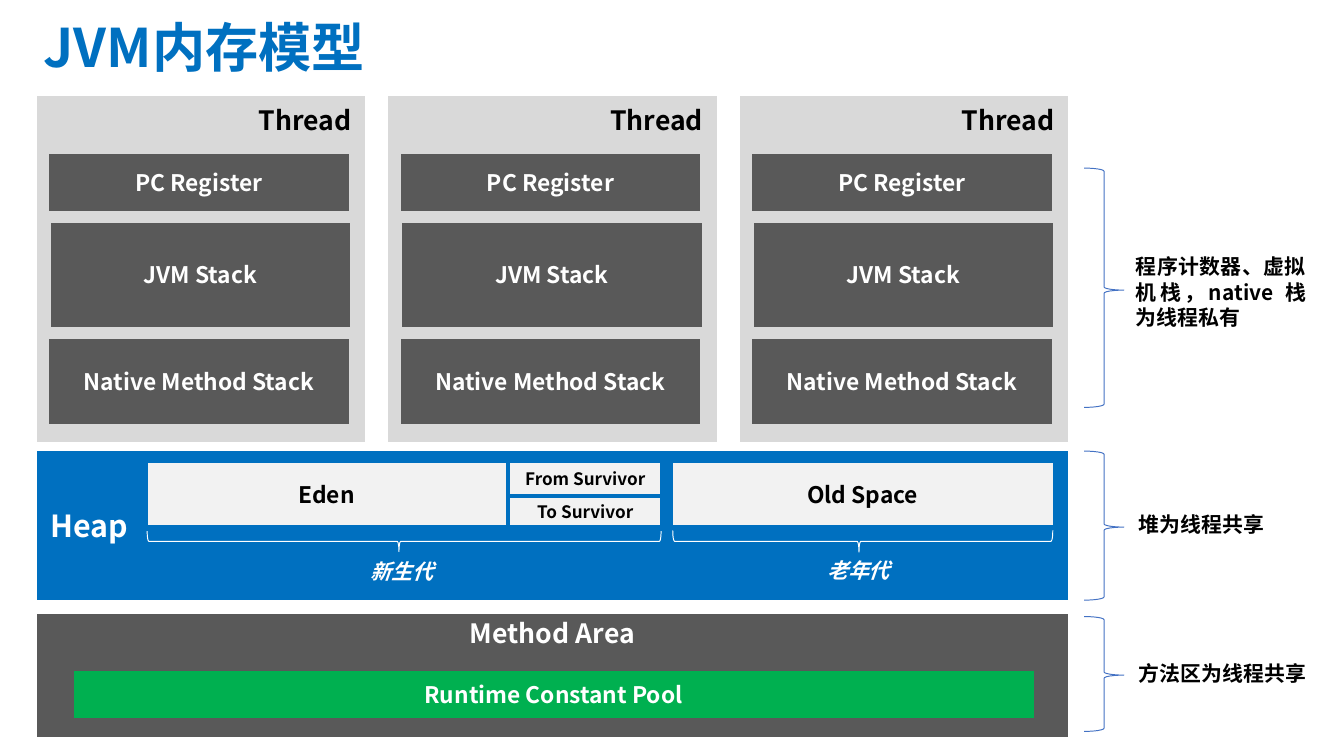
from dataclasses import dataclass

from lxml import etree
from pptx import Presentation
from pptx.dml.color import RGBColor
from pptx.enum.shapes import MSO_SHAPE
from pptx.enum.text import MSO_ANCHOR, MSO_AUTO_SIZE, PP_ALIGN
from pptx.oxml.ns import qn
from pptx.util import Inches, Pt

BLOCK, BRACE = MSO_SHAPE.FLOWCHART_PROCESS, MSO_SHAPE.RIGHT_BRACE
TOP, MIDDLE = MSO_ANCHOR.TOP, MSO_ANCHOR.MIDDLE
LEFT, CENTER, RIGHT = PP_ALIGN.LEFT, PP_ALIGN.CENTER, PP_ALIGN.RIGHT
JUSTIFY = PP_ALIGN.JUSTIFY

WIDTH, HEIGHT = Inches(9.83), Inches(5.53)
FONT = "Noto Sans CJK SC"
BLUE, GREEN, DARK = "0070C0", "00B050", "595959"
GRAY, PALE, WHITE, BLACK = "D9D9D9", "F2F2F2", "FFFFFF", "000000"
BRACE_BLUE = "4472C4"
NOTE_LINE = Pt(13.2)
MARGIN, FULL = 2.75, 76.7
THREAD_COUNT, THREAD_STEP = 3, 26.15


@dataclass(frozen=True)
class Area:
    """A rectangle in percent of the slide's width and height."""
    left: float
    top: float
    width: float
    height: float

    def frame(self) -> tuple[int, int, int, int]:
        return (int(WIDTH * self.left / 100), int(HEIGHT * self.top / 100),
                int(WIDTH * self.width / 100), int(HEIGHT * self.height / 100))

    def shifted(self, columns: float):
        return Area(self.left + columns, self.top, self.width, self.height)


@dataclass(frozen=True)
class Block:
    text: str
    area: Area
    fill: str
    color: str = WHITE
    size: float = 12
    align: PP_ALIGN = CENTER
    anchor: MSO_ANCHOR = MIDDLE
    inset: float = 0


@dataclass(frozen=True)
class Label:
    text: str
    area: Area
    color: str = BLACK
    align: PP_ALIGN = JUSTIFY
    italic: bool = False


THREAD_BLOCKS = [
    Block("Thread", Area(MARGIN, 12.66, 24.42, 45.75), GRAY, BLACK, 14, RIGHT, TOP, 0.06),
    Block("PC Register", Area(3.67, 20.43, 22.28, 7.41), DARK),
    Block("JVM Stack", Area(3.77, 29.48, 22.28, 13.74), DARK),
    Block("Native Method Stack", Area(3.67, 44.85, 22.28, 11.21), DARK),
]
SHARED_BLOCKS = [
    Block("Heap", Area(MARGIN, 59.67, FULL, 19.71), BLUE, size=16, align=LEFT),
    Block("Eden", Area(10.99, 61.3, 26.65, 8.14), PALE, BLACK),
    Block("From Survivor", Area(37.95, 61.3, 11.19, 3.98), PALE, BLACK, 9),
    Block("To Survivor", Area(37.95, 65.82, 11.19, 3.62), PALE, BLACK, 9),
    Block("Old Space", Area(50.05, 61.3, 28.28, 8.14), PALE, BLACK),
    Block("Method Area", Area(MARGIN, 81.19, FULL, 16.27), DARK, size=14, anchor=TOP, inset=0.02),
    Block("Runtime Constant Pool", Area(5.49, 88.79, 71.41, 6.15), GREEN),
]
SIDE_BRACES = [Area(80.67, top, 2.95, height)
               for top, height in ((22.24, 31.65), (59.67, 19.71), (81.56, 15.19))]
HEAP_BRACES = [Area(10.94, 70.25, 38.25, 2.71), Area(50.05, 70.16, 28.28, 2.89)]
LABELS = [
    Label("程序计数器、虚拟机栈，native 栈为线程私有", Area(83.52, 32.73, 14.65, 10.31)),
    Label("堆为线程共享", Area(83.72, 66.73, 14.65, 4.52)),
    Label("方法区为线程共享", Area(83.72, 86.44, 14.65, 4.52)),
    Label("新生代", Area(22.58, 73.06, 14.65, 5.24), WHITE, CENTER, True),
    Label("老年代", Area(56.56, 72.88, 14.65, 5.24), WHITE, CENTER, True),
]


def rgb(value: str) -> RGBColor:
    return RGBColor.from_string(value)


def write(box, text: str, *, size: float, color: str, align=LEFT, anchor=TOP,
          inset: float = 0.05, italic: bool = False, spacing=None) -> None:
    frame = box.text_frame
    frame.word_wrap = True
    frame.auto_size = MSO_AUTO_SIZE.NONE
    frame.vertical_anchor = anchor
    frame.margin_left = frame.margin_right = Inches(0.1)
    frame.margin_top = frame.margin_bottom = Inches(inset)
    para = frame.paragraphs[0]
    para.alignment = align
    para.line_spacing = spacing
    span = para.add_run()
    span.text = text
    font = span.font
    font.name, font.size, font.bold, font.italic = FONT, Pt(size), True, italic
    font.color.rgb = rgb(color)
    latin = font._element.find(qn("a:latin"))
    east_asian = etree.Element(qn("a:ea"), typeface=FONT)
    latin.addnext(east_asian)


def draw_block(page, block: Block, columns: float = 0) -> None:
    box = page.shapes.add_shape(BLOCK, *block.area.shifted(columns).frame())
    box.shadow.inherit = False
    box.fill.solid()
    box.fill.fore_color.rgb = rgb(block.fill)
    box.line.fill.background()
    write(box, block.text, size=block.size, color=block.color,
          align=block.align, anchor=block.anchor, inset=block.inset)


def draw_brace(page, area: Area, color: str, downward: bool = False) -> None:
    left, top, width, height = area.frame()
    if downward:
        left, top = left + (width - height) // 2, top + (height - width) // 2
        width, height = height, width
    brace = page.shapes.add_shape(BRACE, left, top, width, height)
    brace.rotation = 90 if downward else 0
    brace.adjustments[0], brace.adjustments[1] = 0.08, 0.51
    brace.shadow.inherit = False
    brace.fill.background()
    brace.line.color.rgb = rgb(color)
    brace.line.width = Pt(0.5)


def draw_label(page, label: Label) -> None:
    box = page.shapes.add_textbox(*label.area.frame())
    write(box, label.text, size=11, color=label.color, align=label.align,
          italic=label.italic, spacing=NOTE_LINE)


def main() -> None:
    deck = Presentation()
    deck.slide_width, deck.slide_height = WIDTH, HEIGHT
    page = deck.slides.add_slide(deck.slide_layouts[5])
    title = page.shapes.title
    title.left, title.top, title.width, title.height = Area(2.24, 1.45, 90.95, 10.49).frame()
    write(title, "JVM内存模型", size=28, color=BLUE, anchor=MIDDLE, spacing=0.9)

    for block in SHARED_BLOCKS:
        draw_block(page, block)
    for index in range(THREAD_COUNT):
        for block in THREAD_BLOCKS:
            draw_block(page, block, index * THREAD_STEP)
    for area in SIDE_BRACES:
        draw_brace(page, area, BRACE_BLUE)
    for area in HEAP_BRACES:
        draw_brace(page, area, WHITE, downward=True)
    for label in LABELS:
        draw_label(page, label)
    deck.save("out.pptx")


if __name__ == "__main__":
    main()
